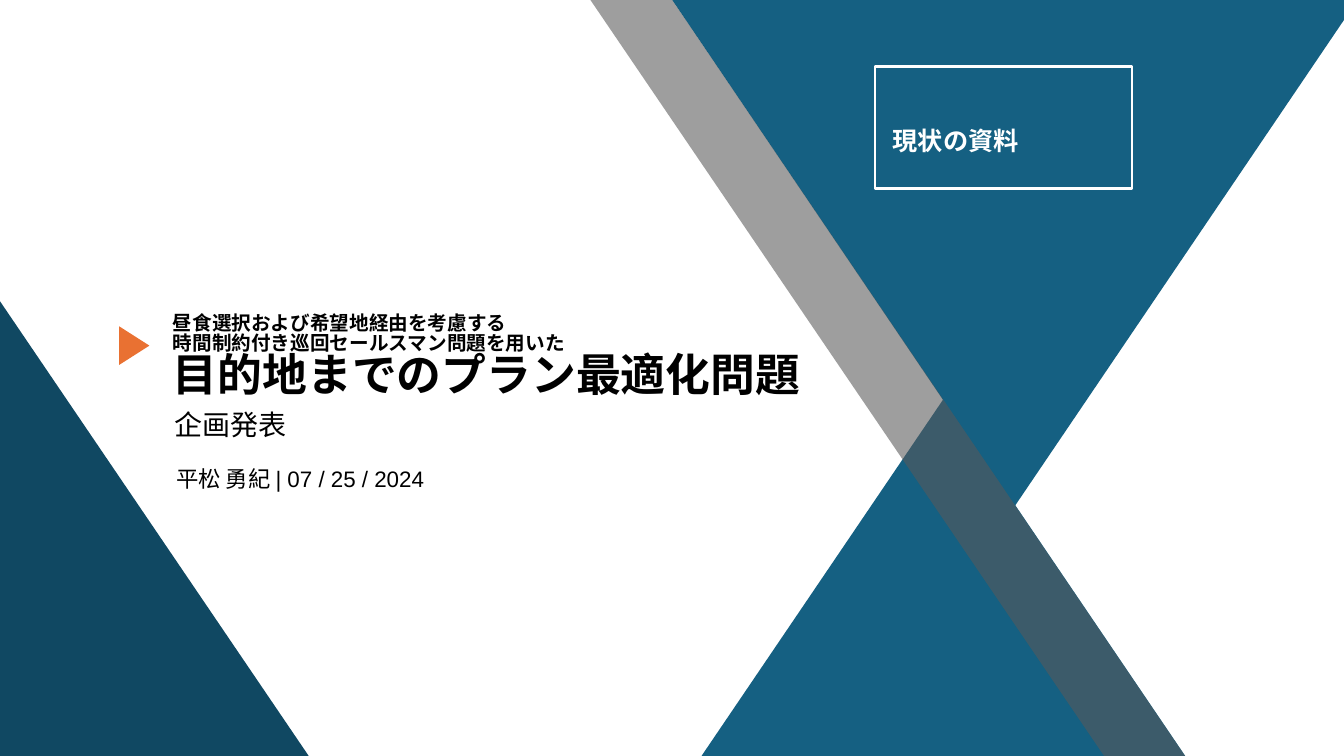
from dataclasses import dataclass

from lxml import etree
from pptx import Presentation
from pptx import util as u
from pptx.dml.color import RGBColor
from pptx.enum import shapes, text
from pptx.oxml.ns import qn


@dataclass(frozen=True)
class Theme:
    """Colours, fonts and type sizes of the deck."""
    blue: str = "156082"
    navy: str = "104862"
    grey: str = "595959"
    orange: str = "E97132"
    ink: str = "000000"
    paper: str = "FFFFFF"
    latin: str = "Arial"
    japanese: str = "Noto Sans CJK JP"
    lead: int = 14
    title: int = 32
    subtitle: int = 20
    date: int = 16
    label: int = 18


@dataclass(frozen=True)
class Box:
    """A region in centimetres."""
    left: float
    top: float
    width: float
    height: float

    def inner(self, left, top, width, height):
        """Return a region offset from this one's top left corner."""
        return Box(self.left + left, self.top + top, width, height)

    def lengths(self):
        """Return left, top, width and height as lengths."""
        return [u.Cm(v) for v in (self.left, self.top, self.width, self.height)]


THEME = Theme()


def apply(target, values):
    """Set attributes of an object from a dict."""
    for name, value in values.items():
        setattr(target, name, value)


def paint(shape, colour):
    """Give a shape a plain fill without outline or shadow."""
    shape.shadow.inherit = False
    shape.fill.solid()
    shape.fill.fore_color.rgb = RGBColor.from_string(colour)
    shape.line.fill.background()


def add_triangle(page, box, colour, rotation=0):
    """Draw a filled triangle."""
    triangle = page.shapes.add_shape(
        shapes.MSO_SHAPE.ISOSCELES_TRIANGLE, *box.lengths())
    triangle.rotation = rotation
    paint(triangle, colour)


def write(shape, box, lines, anchor=text.MSO_ANCHOR.TOP, spacing=0.9, bottom=0.13):
    """Place a text shape and write lines of words, size, font, colour, bold, indent."""
    apply(shape, dict(zip(("left", "top", "width", "height"), box.lengths())))
    frame = shape.text_frame
    apply(frame, {"word_wrap": True, "auto_size": text.MSO_AUTO_SIZE.NONE,
                  "vertical_anchor": anchor, "margin_bottom": u.Cm(bottom)})
    for index, (words, size, font, colour, bold, indent) in enumerate(lines):
        para = frame.add_paragraph() if index else frame.paragraphs[0]
        apply(para, {"alignment": text.PP_ALIGN.LEFT, "line_spacing": spacing,
                     "space_before": u.Pt(0), "space_after": u.Pt(0)})
        if indent:
            para._p.get_or_add_pPr().set("marL", str(u.Cm(indent)))
        span = para.add_run()
        span.text = words
        apply(span.font, {"size": u.Pt(size), "name": font, "bold": bold})
        span.font.color.rgb = RGBColor.from_string(colour)
        latin = span.font._element.find(qn("a:latin"))
        east_asian = etree.Element(qn("a:ea"), typeface=THEME.japanese)
        latin.addnext(east_asian)


def draw_backdrop(page, box):
    """Draw the large triangles and the translucent diagonal band."""
    add_triangle(page, box.inner(17.68, 10.06, 12.19, 8.99), THEME.blue)
    add_triangle(page, box.inner(-8.53, 7.04, 16.31, 12.01), THEME.navy)
    add_triangle(page, box.inner(16.94, 0, 17.27, 12.75), THEME.blue, 180)
    corners = [(u.Cm(box.left + x), u.Cm(box.top + y)) for x, y in
               ((14.88, 0), (16.94, 0), (36.78, 29.24), (34.75, 29.24))]
    outline = page.shapes.build_freeform(*corners[0])
    outline.add_line_segments(corners[1:], close=True)
    band = outline.convert_to_shape()
    paint(band, THEME.grey)
    colour = band.element.spPr.find(qn("a:solidFill")).find(qn("a:srgbClr"))
    etree.SubElement(colour, qn("a:alpha"), val="58000")


def draw_heading(page, box):
    """Write the title, subtitle and date beside the orange marker."""
    title, subtitle = page.placeholders
    for holder in (title, subtitle):
        holder.element.getparent().append(holder.element)
    leads = [(words, THEME.lead, THEME.japanese, THEME.ink, True, 0.11) for words in
             ("昼食選択および希望地経由を考慮する",
              "時間制約付き巡回セールスマン問題を用いた")]
    main = ("目的地までのプラン最適化問題", THEME.title, THEME.latin, THEME.ink, True, 0)
    write(title, box.inner(1.09, 0, 19.05, 1.96), [*leads, main],
          text.MSO_ANCHOR.BOTTOM, 0.85, 0)
    write(subtitle, box.inner(1.24, 2.11, 19, 1.19),
          [("企画発表", THEME.subtitle, THEME.japanese, THEME.ink, False, 0)])
    date = box.inner(1.29, 3.55, 19.05, 1.37)
    write(page.shapes.add_textbox(*date.lengths()), date,
          [("平松 勇紀 | 07 / 25 / 2024", THEME.date, THEME.latin, THEME.ink, False, 0)])
    add_triangle(page, box.inner(0, 0.2, 0.97, 0.76), THEME.orange, 90)


def draw_label(page, box):
    """Draw the white frame with its label."""
    frame = page.shapes.add_shape(shapes.MSO_SHAPE.RECTANGLE, *box.lengths())
    frame.shadow.inherit = False
    frame.fill.background()
    frame.line.color.rgb = RGBColor.from_string(THEME.paper)
    frame.line.width = u.Pt(2)
    label = box.inner(0.2, 1.44, 5.11, 1.09)
    write(page.shapes.add_textbox(*label.lengths()), label,
          [("現状の資料", THEME.label, THEME.japanese, THEME.paper, True, 0)])


def main():
    """Build the title slide and save the deck."""
    deck = Presentation()
    apply(deck, {"slide_width": u.Cm(33.87), "slide_height": u.Cm(19.05)})
    page = deck.slides.add_slide(deck.slide_layouts[0])
    draw_backdrop(page, Box(0, 0, 33.87, 19.05))
    draw_heading(page, Box(2.9, 8.13, 20.34, 4.92))
    draw_label(page, Box(22.05, 1.68, 6.48, 3.07))
    deck.save("out.pptx")


if __name__ == "__main__":
    main()
